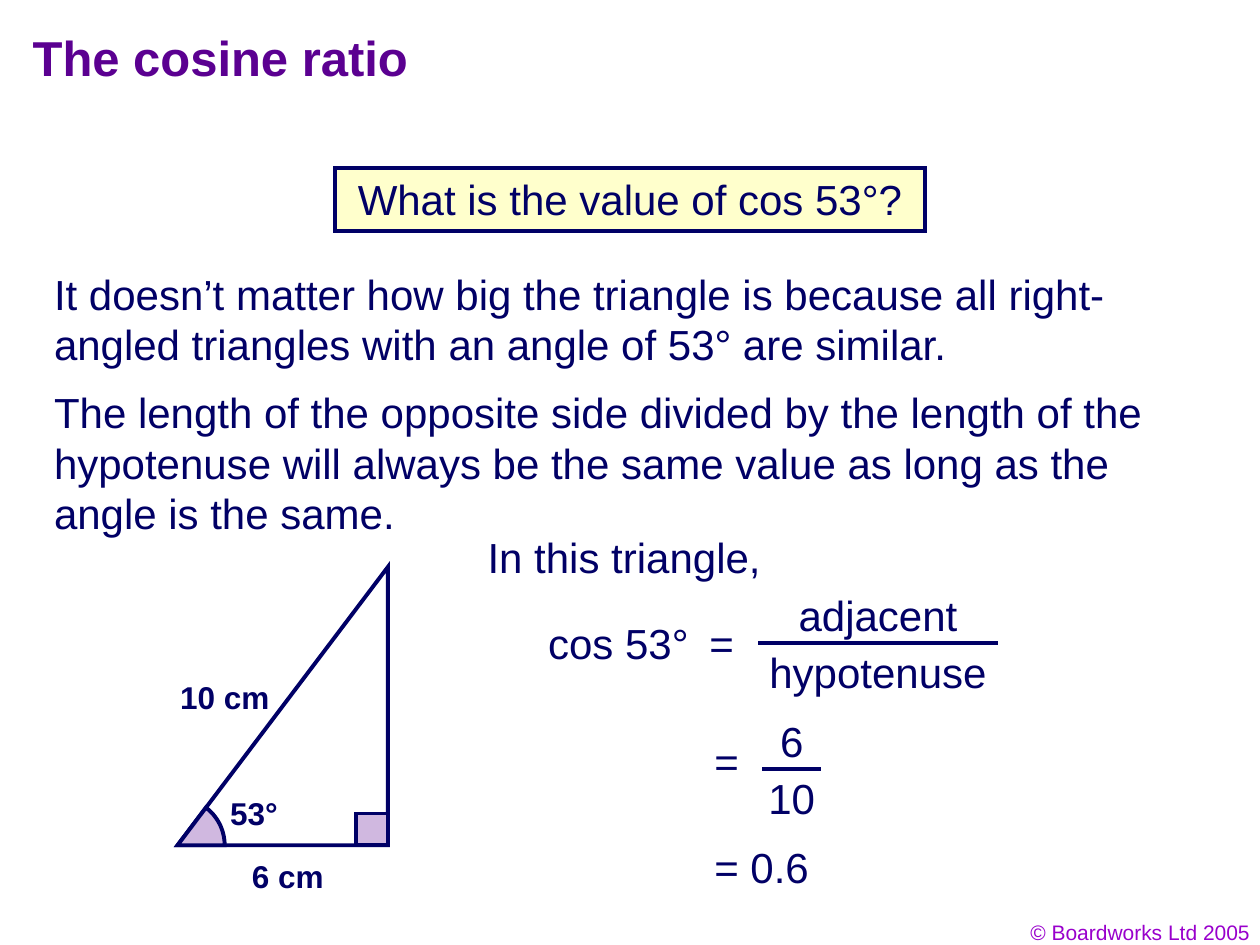
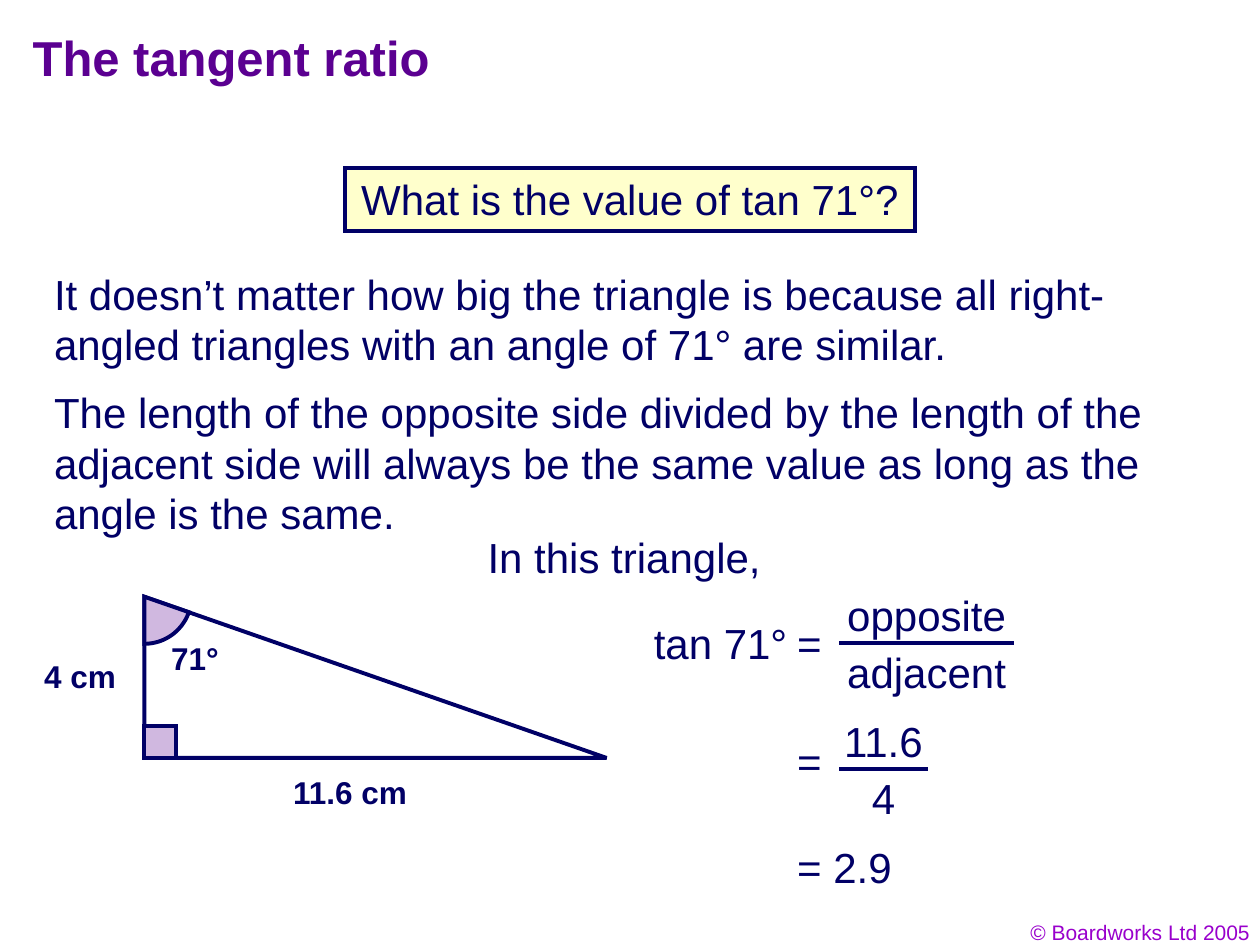
from math import atan2, cos, sin
from lxml.etree import SubElement
from pptx import Presentation
from pptx.dml.color import RGBColor as Rgb
from pptx.enum.shapes import MSO_CONNECTOR as Conn, MSO_SHAPE as Kind
from pptx.enum.text import MSO_ANCHOR as Anchor, PP_ALIGN as Align
from pptx.oxml.ns import qn
from pptx.util import Cm, Pt

# Content: lengths in cm; each fraction is (top, bottom, centre, bar width)
SLIDES = [
    dict(title="The cosine ratio", func="cos", angle="53°", box=11.89, side="hypotenuse",
         func_x=10.8, equals=[14.05, 14.15, 14.15], value="= 0.6",
         fracs=[("adjacent", "hypotenuse", 17.7, 4.83), ("6", "10", 15.96, 1.19)],
         vertex=(3.58, 17.04), corner=(7.82, 17.04), far=(7.82, 11.43),
         labels=[("53°", 4.39, 15.88), ("6 cm", 4.83, 17.15), ("10 cm", 3.38, 13.54)]),
    dict(title="The tangent ratio", func="tan", angle="71°", box=11.48, side="adjacent side",
         func_x=12.93, equals=[15.82] * 3, value="= 2.9",
         fracs=[("opposite", "adjacent", 18.68, 3.53), ("11.6", "4", 17.81, 1.78)],
         vertex=(2.91, 12.03), corner=(2.91, 15.28), far=(12.23, 15.28),
         labels=[("71°", 3.2, 12.75), ("11.6 cm", 5.66, 15.46), ("4 cm", 0.64, 13.13)]),
]
ASK = "What is the value of {func} {angle}?"
BODY = [
    (5.29, "It doesn’t matter how big the triangle is because all right-angled "
           "triangles with an angle of {angle} are similar."),
    (7.67, "The length of the opposite side divided by the length of the {side} "
           "will always be the same value as long as the angle is the same."),
]
FOOTER = "© Boardworks Ltd 2005"

# Shared look
HUES = dict(title="5B0091", text="010066", line="000066", foot="9900CC",
            box="FFFFCC", mark="D0B8E0", white="FFFFFF")
FONT = "Arial"
WIDE, HIGH = 25.4, 19.05
RADIUS, SQUARE, STEPS = 0.95, 0.64, 24
ROWS = [12.32, 14.7, 16.84]
BARS = [12.97, 15.5]


def hue(name):
    return Rgb.from_string(HUES[name])


def write(slide, text, x, y, w, h=1.27, size=24, color="text", bold=False,
          align=Align.LEFT, anchor=Anchor.TOP, shape=None):
    shape = shape or slide.shapes.add_textbox(Cm(x), Cm(y), Cm(w), Cm(h))
    frame = shape.text_frame
    frame.word_wrap = True
    frame.vertical_anchor = anchor
    para = frame.paragraphs[0]
    para.alignment = align
    run = para.add_run()
    run.text = text
    font = run.font
    font.name, font.size, font.bold = FONT, Pt(size), bold
    font.color.rgb = hue(color)


def paint(shape, fill):
    shape.shadow.inherit = False
    shape.fill.solid()
    shape.fill.fore_color.rgb = hue(fill)
    shape.line.color.rgb = hue("line")
    shape.line.width = Pt(2.25)
    SubElement(shape._element.spPr.find(qn("a:ln")), qn("a:miter"), lim="800000")
    return shape


def rect(slide, x, y, w, h, fill):
    shape = slide.shapes.add_shape(Kind.RECTANGLE, Cm(x), Cm(y), Cm(w), Cm(h))
    return paint(shape, fill)


def outline(slide, points, fill):
    first, *rest = [(Cm(x), Cm(y)) for x, y in points]
    pen = slide.shapes.build_freeform(*first)
    pen.add_line_segments(rest, close=True)
    paint(pen.convert_to_shape(), fill)


def rule(slide, x, y, w):
    line = slide.shapes.add_connector(Conn.STRAIGHT, Cm(x), Cm(y), Cm(x + w), Cm(y))
    line.line.color.rgb = hue("line")
    line.line.width = Pt(2.25)
    SubElement(line._element.spPr, qn("a:effectLst"))


def frac(slide, top, low, mid, bar, y):
    # Text boxes are 1 cm wider than the bar, to keep each term on one line
    w = bar + 1
    for text, shift in ((top, -1.21), (low, -0.06)):
        write(slide, text, mid - w / 2, y + shift, w, align=Align.CENTER)
    rule(slide, mid - bar / 2, y, bar)


def draw(slide, vertex, corner, far, labels):
    outline(slide, [vertex, corner, far], "white")
    # Angle mark: a sector from one side to the other
    vx, vy = vertex
    start, end = [atan2(y - vy, x - vx) for x, y in (corner, far)]
    turns = [start + (end - start) * i / STEPS for i in range(STEPS + 1)]
    arc = [(vx + RADIUS * cos(t), vy + RADIUS * sin(t)) for t in turns]
    outline(slide, [vertex, *arc], "mark")
    # Right-angle mark, on the inner side of the corner
    cx, cy = corner
    inner = max(vx, far[0]) > cx
    rect(slide, cx if inner else cx - SQUARE, cy - SQUARE, SQUARE, SQUARE, "mark")
    for text, x, y in labels:
        write(slide, text, x, y, 3.2, h=1.02, size=18, bold=True)


def build(deck, data):
    slide = deck.slides.add_slide(deck.slide_layouts[6])
    # Title and footer
    write(slide, data["title"], 0.41, 0.29, 21.59, 1.7, size=28, color="title",
          bold=True, anchor=Anchor.MIDDLE)
    write(slide, FOOTER, 19.53, 18.42, 5.92, 0.76, size=12, color="foot",
          align=Align.RIGHT)
    # Question and explanation
    w = data["box"]
    x = (WIDE - w) / 2
    box = rect(slide, x, 3.38, w, 1.27, "box")
    write(slide, ASK.format(**data), x, 3.38, w, align=Align.CENTER, shape=box)
    for y, text in BODY:
        write(slide, text.format(**data), 0.84, y, 23.32, 2.29)
    # Triangle
    draw(slide, data["vertex"], data["corner"], data["far"], data["labels"])
    # Working
    write(slide, "In this triangle,", 9.58, 10.59, 6.6)
    write(slide, f"{data['func']} {data['angle']}", data["func_x"], ROWS[0], 3.8)
    for text, x, y in zip(["=", "=", data["value"]], data["equals"], ROWS):
        write(slide, text, x, y, 2.8)
    for parts, y in zip(data["fracs"], BARS):
        frac(slide, *parts, y)


def main():
    deck = Presentation()
    deck.slide_width, deck.slide_height = Cm(WIDE), Cm(HIGH)
    for data in SLIDES:
        build(deck, data)
    deck.save("out.pptx")


if __name__ == "__main__":
    main()
